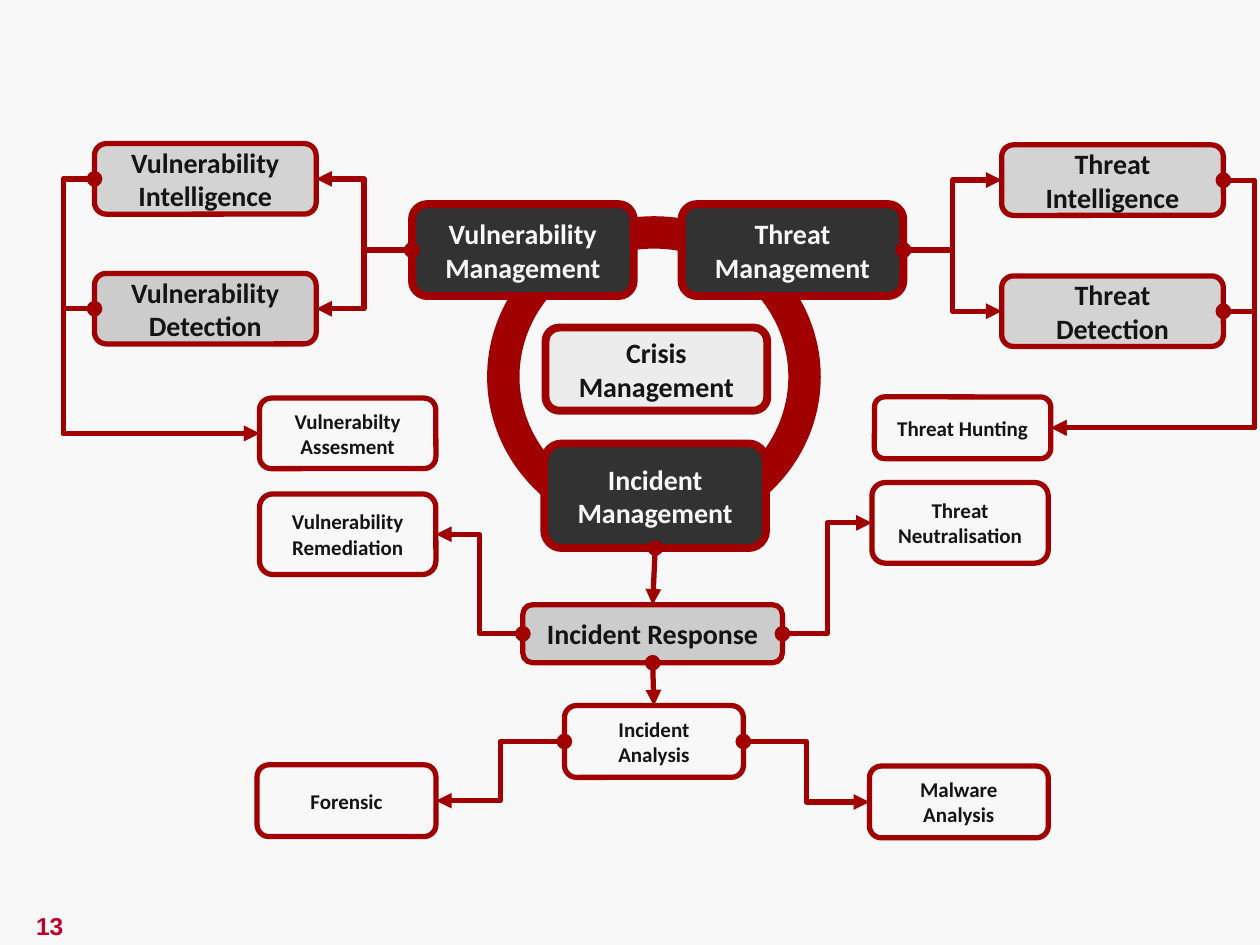
from dataclasses import dataclass
from typing import Any

from lxml import etree
from pptx import Presentation
from pptx.dml.color import RGBColor
from pptx.enum.shapes import MSO_CONNECTOR, MSO_SHAPE
from pptx.enum.text import MSO_ANCHOR, PP_ALIGN
from pptx.oxml.ns import qn
from pptx.util import Inches, Pt

ROUNDED, DONUT = MSO_SHAPE.ROUNDED_RECTANGLE, MSO_SHAPE.DONUT
STRAIGHT, ELBOW = MSO_CONNECTOR.STRAIGHT, MSO_CONNECTOR.ELBOW
MIDDLE, CENTER = MSO_ANCHOR.MIDDLE, PP_ALIGN.CENTER
TOP, LEFT, BOTTOM, RIGHT = range(4)

COLORS = {
    "paper": "F8F8F8", "red": "A00000", "dark": "323232", "ink": "141414",
    "grey": "CCCCCC", "silver": "D3D3D3", "pale": "ECECEC", "number": "BC002B",
}


@dataclass
class Diagram:
    """Draws the parts of the process diagram in one shared style."""

    slide: Any
    font: str = "Calibri"

    def color(self, name):
        return RGBColor.from_string(COLORS[name])

    def background(self, name):
        fill = self.slide.background.fill
        fill.solid()
        fill.fore_color.rgb = self.color(name)

    def shape(self, kind, box, fill, width):
        shape = self.slide.shapes.add_shape(kind, *map(Inches, box))
        shape.shadow.inherit = False
        shape.fill.solid()
        shape.fill.fore_color.rgb = self.color(fill)
        shape.line.color.rgb = self.color("red")
        shape.line.width = Pt(width)
        return shape

    def add_text(self, frame, text, size, color, font):
        frame.word_wrap = True
        frame.vertical_anchor = MIDDLE
        for index, content in enumerate(text.split("\n")):
            paragraph = frame.add_paragraph() if index else frame.paragraphs[0]
            paragraph.alignment = CENTER
            run = paragraph.add_run()
            run.text = content
            run.font.name, run.font.size, run.font.bold = font, Pt(size), True
            run.font.color.rgb = self.color(color)

    def ring(self, box, thickness):
        ring = self.shape(DONUT, box, "red", 2)
        ring.adjustments[0] = thickness

    def node(self, text, box, fill, size=16, width=3, color="ink"):
        node = self.shape(ROUNDED, box, fill, width)
        self.add_text(node.text_frame, text, size, color, self.font)
        return node

    def link(self, start, start_side, end, end_side, bend=None):
        kind = STRAIGHT if bend is None else ELBOW
        link = self.slide.shapes.add_connector(kind, 0, 0, 0, 0)
        link.begin_connect(start, start_side)
        link.end_connect(end, end_side)
        link.line.color.rgb = self.color("red")
        link.line.width = Pt(3)
        properties = link._element.spPr
        if bend is not None:
            guides = properties.find(qn("a:prstGeom")).get_or_add_avLst()
            etree.SubElement(guides, qn("a:gd"), name="adj1", fmla=f"val {round(bend * 100000)}")
        line = link.line._get_or_add_ln()
        etree.SubElement(line, qn("a:headEnd"), type="oval")
        etree.SubElement(line, qn("a:tailEnd"), type="triangle")
        etree.SubElement(properties, qn("a:effectLst"))

    def page_number(self, text, box):
        label = self.slide.shapes.add_textbox(*map(Inches, box))
        self.add_text(label.text_frame, text, 14, "number", "Arial")


def main():
    deck = Presentation()
    deck.slide_width, deck.slide_height = Inches(10), Inches(7.5)
    diagram = Diagram(deck.slides.add_slide(deck.slide_layouts[6]))
    diagram.background("paper")
    diagram.page_number("13", (-0.02, 7.18, 0.83, 0.34))
    diagram.ring((3.88, 1.73, 2.62, 2.52), 0.091)

    core = {"fill": "dark", "width": 4.5, "color": "paper"}
    detail = {"fill": "paper", "size": 12}
    node = diagram.node
    vulnerability = node("Vulnerability Management", (3.27, 1.62, 1.76, 0.73), **core)
    threat = node("Threat Management", (5.41, 1.62, 1.76, 0.73), **core)
    incident = node("Incident Management", (4.32, 3.52, 1.76, 0.83), **core)
    node("Crisis\nManagement", (4.33, 2.6, 1.76, 0.66), "pale", width=4.5)

    response = node("Incident Response", (4.15, 4.8, 2.06, 0.46), "grey")
    threat_sources = [
        node("Threat Intelligence", (7.95, 1.15, 1.76, 0.56), "silver"),
        node("Threat Detection", (7.95, 2.19, 1.76, 0.56), "silver"),
    ]
    vulnerability_sources = [
        node("Vulnerability\nIntelligence", (0.75, 1.14, 1.76, 0.56), "silver"),
        node("Vulnerability\nDetection", (0.75, 2.17, 1.76, 0.56), "grey"),
    ]

    assessment = node("Vulnerabilty Assesment", (2.06, 3.16, 1.4, 0.56), **detail)
    remediation = node("Vulnerability\nRemediation", (2.06, 3.92, 1.4, 0.64), **detail)
    hunting = node("Threat Hunting", (6.94, 3.15, 1.4, 0.49), **detail)
    neutralisation = node("Threat\nNeutralisation", (6.92, 3.83, 1.4, 0.64), **detail)
    analysis = node("Incident\nAnalysis", (4.48, 5.6, 1.42, 0.57), **detail)
    forensic = node("Forensic", (2.04, 6.07, 1.42, 0.57), **detail)
    malware = node("Malware Analysis", (6.9, 6.08, 1.42, 0.57), **detail)

    for source in vulnerability_sources:
        diagram.link(vulnerability, LEFT, source, RIGHT, 0.5)
        diagram.link(source, LEFT, assessment, LEFT, -0.19)
    for source in threat_sources:
        diagram.link(threat, RIGHT, source, LEFT, 0.5)
        diagram.link(source, RIGHT, hunting, RIGHT, -0.18)
    for hub, left_step, right_step in (
        (response, remediation, neutralisation),
        (analysis, forensic, malware),
    ):
        diagram.link(hub, LEFT, left_step, RIGHT, 0.5)
        diagram.link(hub, RIGHT, right_step, LEFT, 0.5)
    diagram.link(incident, BOTTOM, response, TOP)
    diagram.link(response, BOTTOM, analysis, TOP)

    deck.save("out.pptx")


if __name__ == "__main__":
    main()
